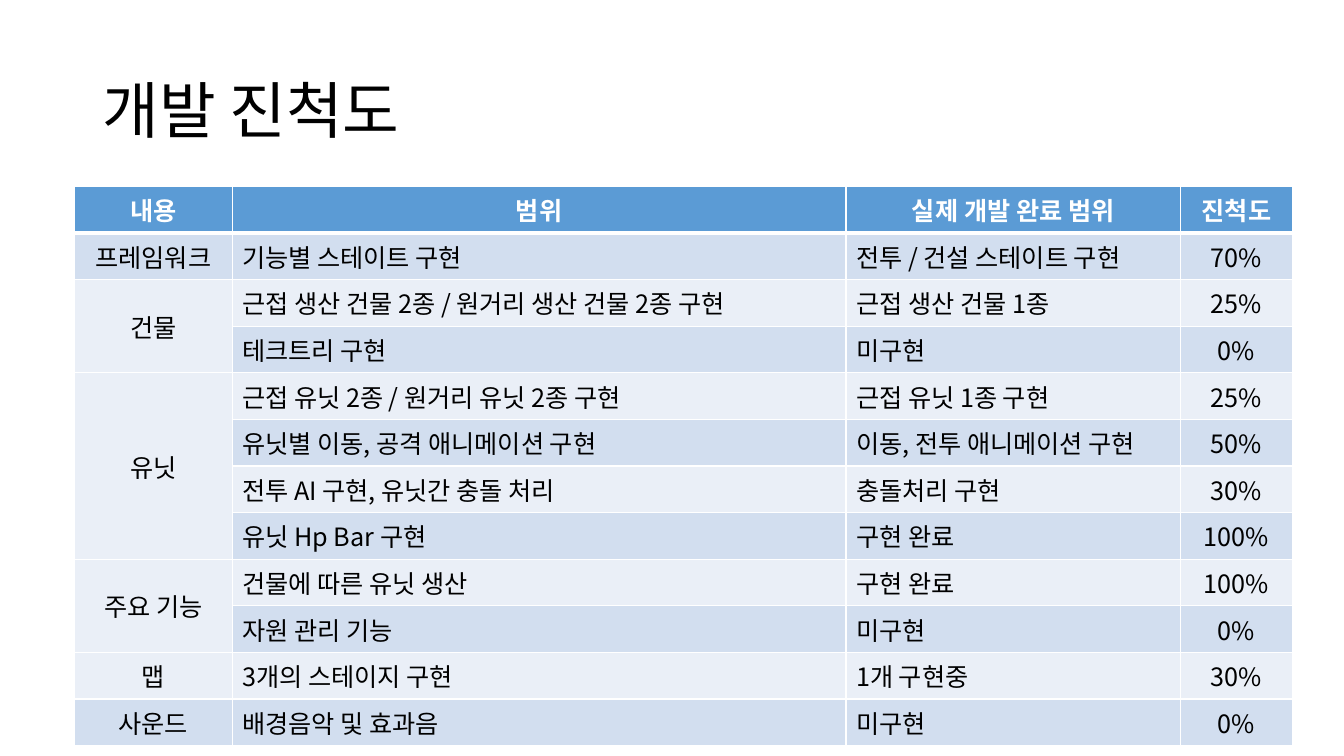
from lxml import etree
from pptx import Presentation, util as u
from pptx.dml.color import RGBColor
from pptx.enum import text
from pptx.oxml.ns import qn

HEADER = ["내용", "범위", "실제 개발 완료 범위", "진척도"]
GROUPS = [
    ("프레임워크", [("기능별 스테이트 구현", "전투 / 건설 스테이트 구현", "70%")]),
    ("건물", [
        ("근접 생산 건물 2종 / 원거리 생산 건물 2종 구현", "근접 생산 건물 1종", "25%"),
        ("테크트리 구현", "미구현", "0%"),
    ]),
    ("유닛", [
        ("근접 유닛 2종 / 원거리 유닛 2종 구현", "근접 유닛 1종 구현", "25%"),
        ("유닛별 이동, 공격 애니메이션 구현", "이동, 전투 애니메이션 구현", "50%"),
        ("전투 AI 구현, 유닛간 충돌 처리", "충돌처리 구현", "30%"),
        ("유닛 Hp Bar 구현", "구현 완료", "100%"),
    ]),
    ("주요 기능", [
        ("건물에 따른 유닛 생산", "구현 완료", "100%"),
        ("자원 관리 기능", "미구현", "0%"),
    ]),
    ("맵", [("3개의 스테이지 구현", "1개 구현중", "30%")]),
    ("사운드", [("배경음악 및 효과음", "미구현", "0%")]),
]


def rgb(value):
    return RGBColor.from_string(value)


class Deck:
    font = "Noto Sans CJK KR"
    title_font = "Calibri"
    black, white, accent = "000000", "FFFFFF", "5B9BD5"
    bands = ("EAEFF7", "D2DEEF")

    def __init__(self, prs):
        self.s = prs.slides.add_slide(prs.slide_layouts[5])

    def style(self, p, size, name, color, bold=False, align=text.PP_ALIGN.LEFT):
        p.alignment = align
        f = p.font
        f.size, f.name, f.bold = u.Pt(size), name, bold
        f.color.rgb = rgb(color)
        props = p._p.pPr.find(qn("a:defRPr"))
        etree.SubElement(props, qn("a:ea")).set("typeface", self.font)

    def title(self, wording, left, top, width, height):
        sp = self.s.shapes.title
        sp.left, sp.top, sp.width, sp.height = map(u.Cm, (left, top, width, height))
        tf = sp.text_frame
        tf.text = wording
        tf.vertical_anchor = text.MSO_ANCHOR.MIDDLE
        p = tf.paragraphs[0]
        p.line_spacing = 0.9
        self.style(p, 44, self.title_font, self.black)

    def borders(self, cell, top, bottom):
        tcPr = cell._tc.get_or_add_tcPr()
        for side, width in (("L", 1), ("R", 1), ("T", top), ("B", bottom)):
            ln = etree.SubElement(tcPr, qn(f"a:ln{side}"), w=str(u.Pt(width)))
            fill = etree.SubElement(ln, qn("a:solidFill"))
            etree.SubElement(fill, qn("a:srgbClr"), val=self.white)

    def cell(self, cell, wording, row, col):
        head = row == 0
        self.borders(cell, 3 if row == 1 else 1, 3 if head else 1)
        cell.fill.solid()
        cell.fill.fore_color.rgb = rgb(self.accent if head else self.bands[row % 2])
        if col == 0 and not head:
            cell.vertical_anchor = text.MSO_ANCHOR.MIDDLE
        cell.text = wording
        centred = head or col in (0, 3)
        self.style(cell.text_frame.paragraphs[0], 18, self.font,
                   self.white if head else self.black, head,
                   text.PP_ALIGN.CENTER if centred else text.PP_ALIGN.LEFT)

    def table(self, header, groups, left, top, widths, row_height):
        rows = [header]
        merges = []
        for name, items in groups:
            merges.append((len(rows), len(rows) + len(items) - 1))
            rows += [(name if i == 0 else "", *item) for i, item in enumerate(items)]
        tbl = self.s.shapes.add_table(
            len(rows), len(header), u.Cm(left), u.Cm(top),
            u.Cm(sum(widths)), u.Cm(row_height * len(rows))).table
        for column, width in zip(tbl.columns, widths):
            column.width = u.Cm(width)
        for r, values in enumerate(rows):
            tbl.rows[r].height = u.Cm(row_height)
            for c, value in enumerate(values):
                self.cell(tbl.cell(r, c), value, r, c)
        for first, last in merges:
            if last > first:
                tbl.cell(first, 0).merge(tbl.cell(last, 0))


prs = Presentation()
prs.slide_width, prs.slide_height = u.Cm(33.87), u.Cm(19.05)
deck = Deck(prs)
deck.title("개발 진척도", 2.33, 1.01, 29.21, 3.68)
deck.table(HEADER, GROUPS, 1.88, 4.7, (3.97, 15.47, 8.43, 2.82), 1.17)
prs.save("out.pptx")
